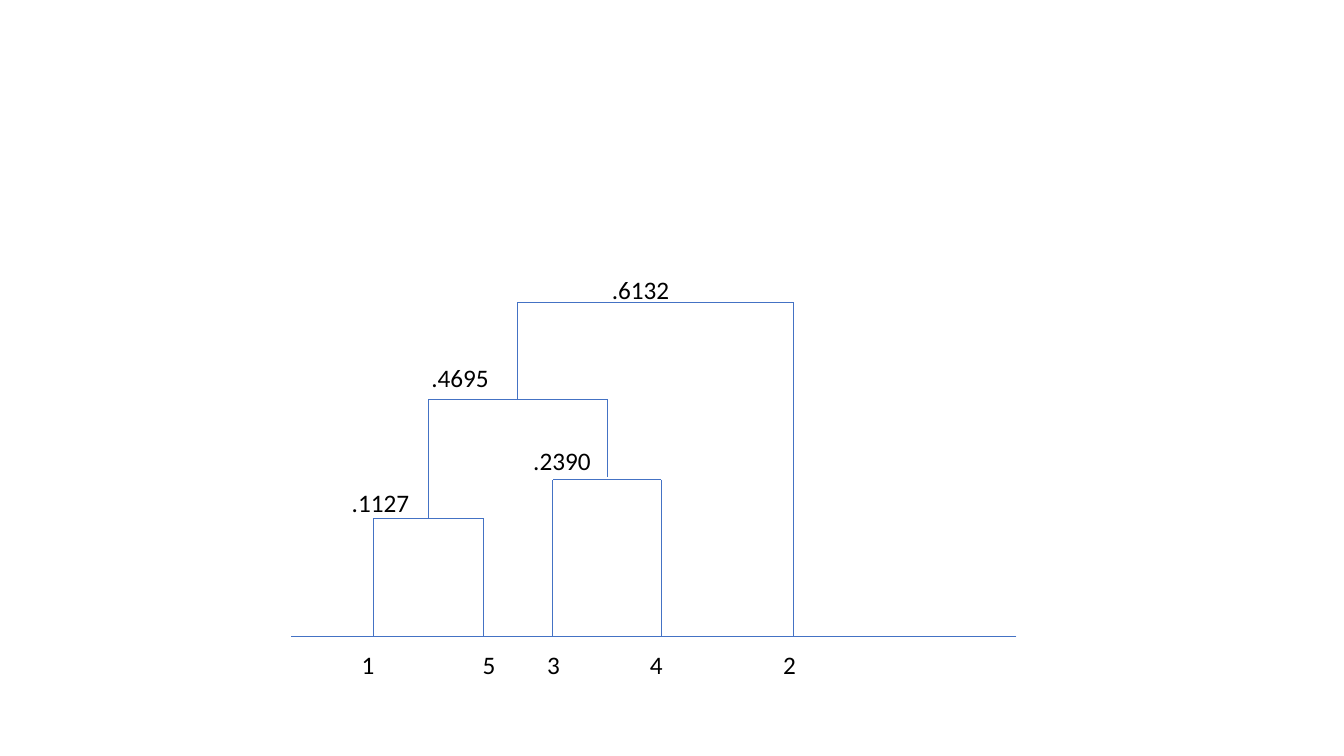
import dataclasses

import lxml.etree
import pptx
import pptx.dml.color
import pptx.enum.shapes
import pptx.enum.text
import pptx.oxml.ns
import pptx.slide
import pptx.util

Inches = pptx.util.Inches
ALIGN = pptx.enum.text.PP_ALIGN
BLUE = pptx.dml.color.RGBColor(0x44, 0x72, 0xC4)
BLACK = pptx.dml.color.RGBColor(0, 0, 0)
BASE_Y = 6.31
LABEL_H = 0.4
LEAF_W = 0.4
DISTANCE_W = 1.01


@dataclasses.dataclass(frozen=True)
class Leaf:
    """A clustered item and the centre of its label."""
    name: str
    x: float


@dataclasses.dataclass(frozen=True)
class Merge:
    """A join of two branches: bar ends, bar height, branch feet and label."""
    left: float
    right: float
    top: float
    left_foot: float
    right_foot: float
    distance: str
    label_x: float
    label_y: float


LEAVES = [Leaf("1", 3.65), Leaf("5", 4.85), Leaf("3", 5.49),
          Leaf("4", 6.51), Leaf("2", 7.83)]
MERGES = [
    Merge(3.7, 4.79, 5.14, BASE_Y, BASE_Y, ".1127", 3.39, 4.79),
    Merge(5.48, 6.56, 4.76, BASE_Y, BASE_Y, ".2390", 5.19, 4.37),
    Merge(4.25, 6.02, 3.96, 5.14, 4.73, ".4695", 4.18, 3.55),
    Merge(5.13, 7.87, 3.0, 3.96, BASE_Y, ".6132", 5.97, 2.67),
]


def add_line(s: pptx.slide.Slide, x1: float, y1: float, x2: float, y2: float) -> None:
    """Draw a thin blue line without a shadow."""
    line = s.shapes.add_connector(pptx.enum.shapes.MSO_CONNECTOR.STRAIGHT,
                                  Inches(x1), Inches(y1), Inches(x2), Inches(y2))
    line.line.color.rgb = BLUE
    line.line.width = pptx.util.Pt(0.5)
    lxml.etree.SubElement(line._element.spPr, pptx.oxml.ns.qn("a:effectLst"))


def add_text(s: pptx.slide.Slide, text: str, x: float, y: float, width: float, *,
             size: float = 18, font: str = "Calibri",
             color: pptx.dml.color.RGBColor = BLACK,
             align: ALIGN = ALIGN.LEFT) -> None:
    """Add a one-line label."""
    sp = s.shapes.add_textbox(Inches(x), Inches(y), Inches(width), Inches(LABEL_H))
    tf = sp.text_frame
    tf.word_wrap = True
    p = tf.paragraphs[0]
    p.alignment = align
    r = p.add_run()
    r.text = text
    r.font.size = pptx.util.Pt(size)
    r.font.name = font
    r.font.color.rgb = color


def add_merge(s: pptx.slide.Slide, m: Merge) -> None:
    """Draw both branches, the joining bar and its distance."""
    add_line(s, m.left, m.left_foot, m.left, m.top)
    add_line(s, m.right, m.right_foot, m.right, m.top)
    add_line(s, m.right, m.top, m.left, m.top)
    add_text(s, m.distance, m.label_x, m.label_y, DISTANCE_W)


def main() -> None:
    """Build the dendrogram slide."""
    prs = pptx.Presentation()
    prs.slide_width = Inches(13.33)
    prs.slide_height = Inches(7.5)
    s = prs.slides.add_slide(prs.slide_layouts[6])
    add_line(s, 10.08, BASE_Y, 2.89, BASE_Y)
    for merge in MERGES:
        add_merge(s, merge)
    for leaf in LEAVES:
        add_text(s, leaf.name, leaf.x - LEAF_W / 2, 6.39, LEAF_W, align=ALIGN.CENTER)
    prs.save("out.pptx")


main()
